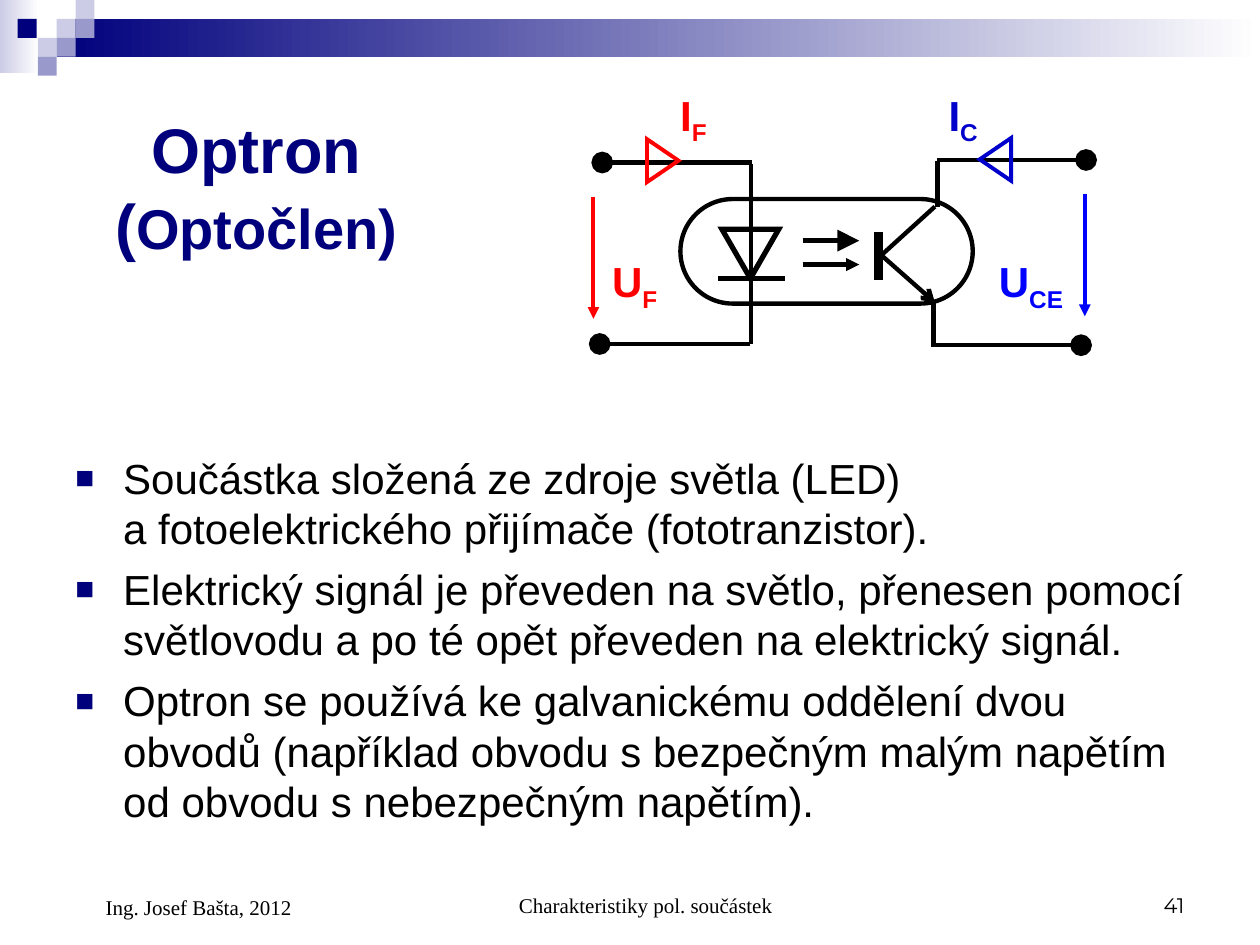
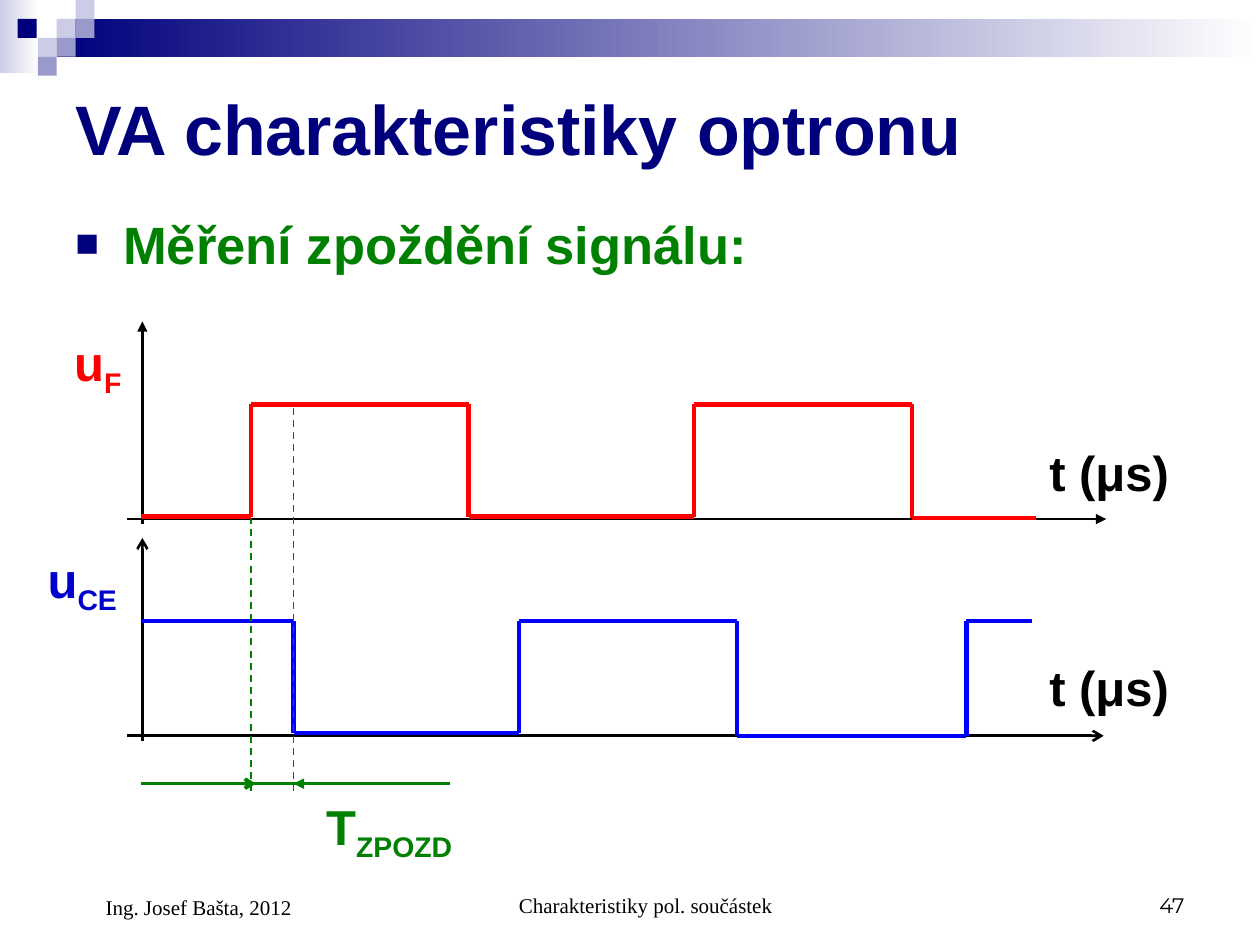
"""Build two slides about the optocoupler: its circuit and its signal delay."""
from typing import NamedTuple

from lxml import etree
from pptx import Presentation
from pptx.dml.color import RGBColor
from pptx.enum.dml import MSO_LINE
from pptx.enum.shapes import MSO_CONNECTOR, MSO_SHAPE
from pptx.enum.text import MSO_ANCHOR, PP_ALIGN
from pptx.oxml.ns import qn
from pptx.slide import Slide
from pptx.text.text import _Paragraph
from pptx.util import Emu, Pt

EMU_PER_PX = 9144
STRAIGHT = MSO_CONNECTOR.STRAIGHT
RECTANGLE, ROUNDED = MSO_SHAPE.RECTANGLE, MSO_SHAPE.ROUNDED_RECTANGLE
TRIANGLE = MSO_SHAPE.ISOSCELES_TRIANGLE
DASH = MSO_LINE.DASH
LEFT, CENTER, RIGHT = PP_ALIGN.LEFT, PP_ALIGN.CENTER, PP_ALIGN.RIGHT
TOP, MIDDLE, BOTTOM = MSO_ANCHOR.TOP, MSO_ANCHOR.MIDDLE, MSO_ANCHOR.BOTTOM

NAVY, LILAC, PALE, WHITE = "00007D", "9999CC", "CCCCE6", "FFFFFF"
BLACK, RED, BLUE, DEEP_BLUE, GREEN = "000000", "FF0000", "0000FF", "0000CC", "008000"
SANS, SERIF, NUMBER_FONT = "Arial", "Times New Roman", "Montserrat"
TILE = 15
BULLET_INDENT, FOOTER_INDENT = 38, 24


class Area(NamedTuple):
    """A rectangle on the slide in px."""
    left: int
    top: int
    width: int
    height: int


class Style(NamedTuple):
    """The look of the text in one box."""
    size: float
    color: str = BLACK
    bold: bool = False
    font: str = SANS
    align: PP_ALIGN = LEFT
    anchor: MSO_ANCHOR = TOP
    indent: int = 0


class Span(NamedTuple):
    """A piece of text that may differ from its paragraph."""
    text: str
    size: float = 0
    subscript: bool = False


class Wire(NamedTuple):
    """A straight line with an optional end mark at its second point."""
    x1: int
    y1: int
    x2: int
    y2: int
    color: str = BLACK
    weight: float = 2.5
    end: str = ""
    end_size: str = "med"
    dashed: bool = False


class Outline(NamedTuple):
    """An unfilled preset shape."""
    kind: MSO_SHAPE
    area: Area
    color: str
    weight: float
    rotation: int = 0


class Label(NamedTuple):
    """A symbol with an optional subscript."""
    area: Area
    symbol: str
    index: str
    color: str


class Tile(NamedTuple):
    """A small square of the corner pattern."""
    left: int
    top: int
    color: str


BANDS = [(Area(0, 0, 31, 58), PALE), (Area(45, 15, 955, 30), NAVY)]
TILES = [Tile(45, 15, PALE), Tile(60, 0, PALE), Tile(60, 15, LILAC), Tile(30, 30, PALE),
         Tile(14, 15, NAVY), Tile(45, 30, LILAC), Tile(30, 45, LILAC)]

DIODE_WIRES = [
    Wire(596, 130, 596, 273),
    Wire(623, 221, 570, 221, weight=3),
    Wire(597, 129, 478, 129, end="oval", end_size="lg"),
    Wire(595, 273, 476, 273, end="oval", end_size="lg"),
]
LIGHT_ARROWS = [
    Wire(637, 191, 682, 191, end="triangle", end_size="lg"),
    Wire(637, 210, 682, 210, end="triangle"),
]
TRANSISTOR_WIRES = [
    Wire(697, 184, 697, 222, weight=5),
    Wire(699, 203, 742, 164),
    Wire(700, 203, 742, 240, end="arrow"),
    Wire(741, 275, 741, 240),
    Wire(744, 164, 744, 128),
    Wire(744, 127, 862, 127, end="oval", end_size="lg"),
    Wire(739, 274, 858, 274, end="oval", end_size="lg"),
]
VOLTAGE_ARROWS = [
    Wire(471, 156, 471, 253, RED, 2.25, "triangle"),
    Wire(861, 154, 861, 251, BLUE, 2.25, "triangle"),
]
CIRCUIT_OUTLINES = [
    Outline(TRIANGLE, Area(573, 182, 45, 39), BLACK, 3, 180),
    Outline(ROUNDED, Area(540, 158, 232, 83), BLACK, 2.5),
    Outline(TRIANGLE, Area(509, 115, 34, 25), RED, 2.25, 90),
    Outline(TRIANGLE, Area(773, 114, 34, 25), DEEP_BLUE, 2.25, 270),
]
CIRCUIT_LABELS = [
    Label(Area(530, 66, 59, 56), "I", "F", RED),
    Label(Area(743, 66, 59, 56), "I", "C", DEEP_BLUE),
    Label(Area(476, 198, 59, 56), "U", "F", RED),
    Label(Area(783, 198, 83, 56), "U", "CE", BLUE),
]
CIRCUIT_FACTS = [
    "Součástka složená ze zdroje světla (LED) \na fotoelektrického přijímače (fototranzistor).",
    "Elektrický signál je převeden na světlo, přenesen pomocí světlovodu "
    "a po té opět převeden na elektrický signál.",
    "Optron se používá ke galvanickému oddělení dvou obvodů (například obvodu "
    "s bezpečným malým napětím od obvodu s nebezpečným napětím).",
]

AXES = [
    Wire(101, 412, 878, 412, weight=1.5, end="triangle"),
    Wire(113, 416, 113, 255, weight=1.5, end="triangle"),
    Wire(101, 584, 876, 584, weight=1.5, end="arrow"),
    Wire(113, 588, 113, 427, weight=1.5, end="arrow"),
]
INPUT_WAVE = [(112, 410), (199, 410), (199, 321), (372, 321), (372, 410), (551, 410),
              (551, 321), (724, 321), (724, 411), (822, 411)]
OUTPUT_WAVE = [(113, 493), (233, 493), (233, 582), (412, 582), (412, 493), (585, 493),
               (585, 584), (767, 584), (767, 493), (819, 493)]
DELAY_MARKS = [
    Wire(199, 628, 199, 412, GREEN, 1, dashed=True),
    Wire(233, 628, 233, 321, GREEN, 1, dashed=True),
    Wire(357, 622, 233, 622, GREEN, 2, "triangle"),
    Wire(112, 622, 203, 622, GREEN, 2, "arrow"),
    Wire(175, 622, 266, 622, GREEN, 2),
]
DELAY_LABELS = [
    Label(Area(49, 259, 66, 63), "u", "F", RED),
    Label(Area(28, 431, 86, 63), "u", "CE", DEEP_BLUE),
    Label(Area(249, 627, 152, 63), "T", "ZPOZD", GREEN),
    Label(Area(823, 346, 121, 57), "t (μs)", "", BLACK),
    Label(Area(823, 517, 121, 57), "t (μs)", "", BLACK),
]


def px(length: int) -> Emu:
    """Turn px into EMU."""
    return Emu(length * EMU_PER_PX)


def rgb(color: str) -> RGBColor:
    """Turn a hex string into a colour."""
    return RGBColor.from_string(color)


def add_mark(parent: etree._Element, tag: str, **attributes: str) -> etree._Element:
    """Append a drawing element with its attributes."""
    return etree.SubElement(parent, qn(tag), attributes)


def add_bullet(paragraph: _Paragraph) -> None:
    """Give a paragraph the navy square bullet and its hanging indent."""
    properties = paragraph._p.get_or_add_pPr()
    properties.set("marL", str(px(BULLET_INDENT)))
    properties.set("indent", str(px(-BULLET_INDENT)))
    add_mark(add_mark(properties, "a:buClr"), "a:srgbClr", val=NAVY)
    add_mark(properties, "a:buSzPct", val="75000")
    add_mark(properties, "a:buFont", typeface=SANS)
    add_mark(properties, "a:buChar", char="■")


def add_span(paragraph: _Paragraph, span: Span) -> None:
    """Write one span, turning newlines into line breaks."""
    for number, line in enumerate(span.text.split("\n")):
        if number:
            paragraph.add_line_break()
        run = paragraph.add_run()
        run.text = line
        if span.size:
            run.font.size = Pt(span.size)
        if span.subscript:
            run._r.get_or_add_rPr().set("baseline", "-25000")


def add_text(slide: Slide, area: Area, paragraphs: list[list[Span]], style: Style,
             bulleted: bool = False) -> None:
    """Write paragraphs of spans into a text box."""
    frame = slide.shapes.add_textbox(*map(px, area)).text_frame
    frame.word_wrap = True
    frame.vertical_anchor = style.anchor
    for number, spans in enumerate(paragraphs):
        paragraph = frame.add_paragraph() if number else frame.paragraphs[0]
        paragraph.alignment = style.align
        if bulleted:
            add_bullet(paragraph)
        elif style.indent:
            paragraph._p.get_or_add_pPr().set("marL", str(px(style.indent)))
        if number:
            paragraph.space_before = Pt(style.size / 4)
        font = paragraph.font
        font.name, font.size, font.bold = style.font, Pt(style.size), style.bold
        font.color.rgb = rgb(style.color)
        for span in spans:
            add_span(paragraph, span)


def add_block(slide: Slide, area: Area, color: str, fades: bool = False) -> None:
    """Draw a borderless rectangle, plain or fading to white on the right."""
    block = slide.shapes.add_shape(RECTANGLE, *map(px, area))
    block.shadow.inherit = False
    block.line.fill.background()
    if fades:
        block.fill.gradient()
        block.fill.gradient_angle = 0
        for stop, stop_color in zip(block.fill.gradient_stops, (color, WHITE)):
            stop.color.rgb = rgb(stop_color)
    else:
        block.fill.solid()
        block.fill.fore_color.rgb = rgb(color)


def add_wire(slide: Slide, wire: Wire) -> None:
    """Draw a straight line with its end mark."""
    connector = slide.shapes.add_connector(STRAIGHT, *map(px, wire[:4]))
    connector.line.color.rgb = rgb(wire.color)
    connector.line.width = Pt(wire.weight)
    if wire.dashed:
        connector.line.dash_style = DASH
    if wire.end:
        add_mark(connector.line._get_or_add_ln(), "a:tailEnd", type=wire.end,
                 w=wire.end_size, len=wire.end_size)
    add_mark(connector._element.spPr, "a:effectLst")


def add_outline(slide: Slide, outline: Outline) -> None:
    """Draw an unfilled shape with sharp corners."""
    shape = slide.shapes.add_shape(outline.kind, *map(px, outline.area))
    shape.shadow.inherit = False
    shape.fill.background()
    shape.line.color.rgb = rgb(outline.color)
    shape.line.width = Pt(outline.weight)
    add_mark(shape.line._get_or_add_ln(), "a:miter", lim="800000")
    shape.rotation = outline.rotation
    if outline.kind == ROUNDED:
        shape.adjustments[0] = 0.5


def add_label(slide: Slide, label: Label, size: float) -> None:
    """Write a bold symbol with its subscript."""
    spans = [Span(label.symbol)]
    if label.index:
        spans.append(Span(label.index, subscript=True))
    add_text(slide, label.area, [spans], Style(size, label.color, True))


def add_wave(slide: Slide, corners: list[tuple[int, int]], color: str) -> None:
    """Draw a square wave through its corners."""
    for start, finish in zip(corners, corners[1:]):
        add_wire(slide, Wire(*start, *finish, color))


def add_page(deck: Presentation, number: str) -> Slide:
    """Add a slide with the shared bands, corner pattern and footers."""
    slide = deck.slides.add_slide(deck.slide_layouts[6])
    for area, color in BANDS:
        add_block(slide, area, color, fades=True)
    for tile in TILES:
        add_block(slide, Area(tile.left, tile.top, TILE, TILE), tile.color)
    footers = [
        (Area(342, 683, 317, 50), "Charakteristiky pol. součástek", SERIF, CENTER, FOOTER_INDENT),
        (Area(717, 683, 233, 50), number, NUMBER_FONT, RIGHT, 0),
        (Area(50, 683, 233, 52), "Ing. Josef Bašta, 2012", SERIF, LEFT, FOOTER_INDENT),
    ]
    for area, text, font, align, indent in footers:
        style = Style(12, font=font, align=align, anchor=BOTTOM, indent=indent)
        add_text(slide, area, [[Span(text)]], style)
    return slide


def build_circuit(deck: Presentation) -> None:
    """Build the slide that shows the optocoupler circuit."""
    slide = add_page(deck, "41")
    add_text(slide, Area(62, 79, 283, 138), [[Span("Optron\n("), Span("Optočlen)", 32)]],
             Style(36, NAVY, True, align=CENTER, anchor=MIDDLE))
    add_text(slide, Area(50, 354, 900, 315), [[Span(fact)] for fact in CIRCUIT_FACTS],
             Style(24), bulleted=True)
    for wire in DIODE_WIRES + LIGHT_ARROWS + TRANSISTOR_WIRES + VOLTAGE_ARROWS:
        add_wire(slide, wire)
    for outline in CIRCUIT_OUTLINES:
        add_outline(slide, outline)
    for label in CIRCUIT_LABELS:
        add_label(slide, label, 24)


def build_delay(deck: Presentation) -> None:
    """Build the slide that shows the signal delay."""
    slide = add_page(deck, "47")
    add_text(slide, Area(50, 50, 900, 103), [[Span("VA charakteristiky optronu")]],
             Style(40, NAVY, True, anchor=MIDDLE))
    add_text(slide, Area(50, 163, 900, 75), [[Span("Měření zpoždění signálu:")]],
             Style(30, GREEN, True), bulleted=True)
    for axis in AXES:
        add_wire(slide, axis)
    add_wave(slide, INPUT_WAVE, RED)
    add_wave(slide, OUTPUT_WAVE, BLUE)
    for mark in DELAY_MARKS:
        add_wire(slide, mark)
    for label in DELAY_LABELS:
        add_label(slide, label, 28)


def main() -> None:
    """Build and save the deck."""
    deck = Presentation()
    deck.slide_width, deck.slide_height = px(1000), px(750)
    build_circuit(deck)
    build_delay(deck)
    deck.save("out.pptx")


if __name__ == "__main__":
    main()
